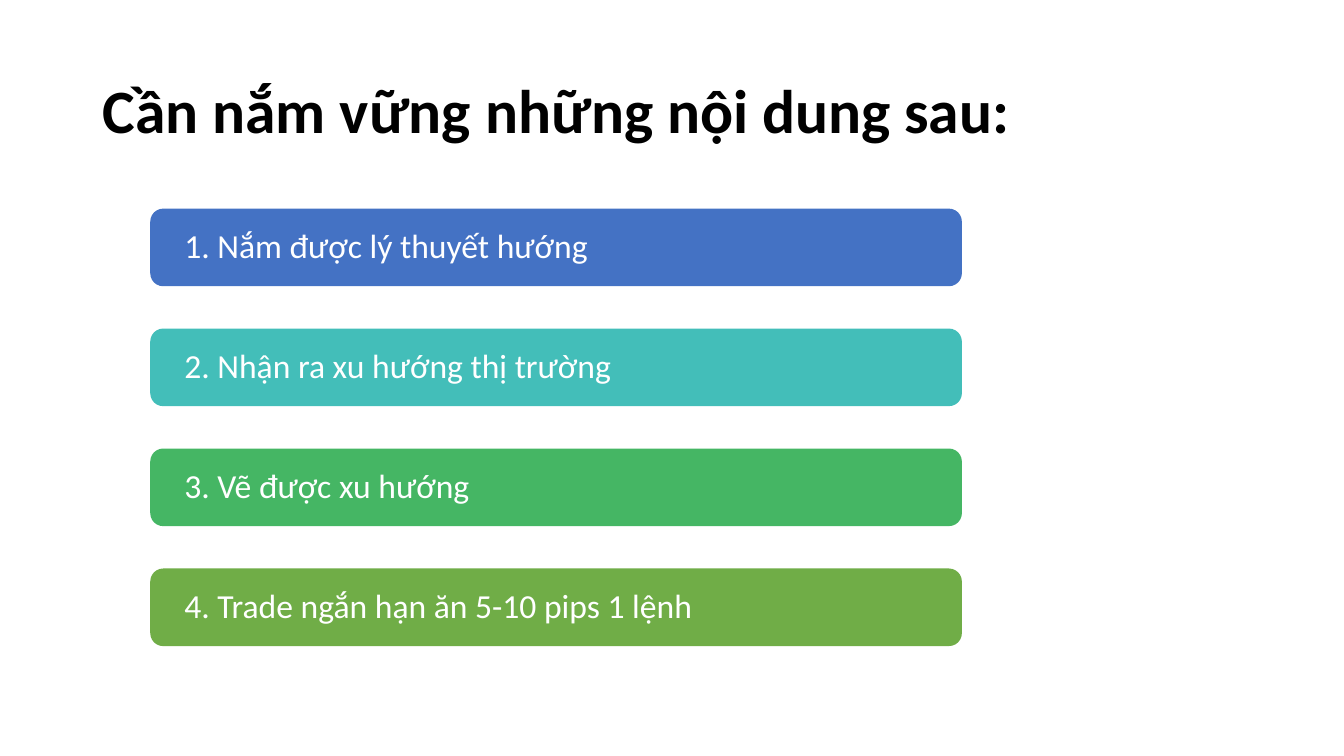
from dataclasses import dataclass

from pptx import Presentation
from pptx.dml.color import RGBColor
from pptx.enum.shapes import MSO_SHAPE
from pptx.enum.text import MSO_ANCHOR, PP_ALIGN
from pptx.shapes.autoshape import Shape
from pptx.slide import Slide
from pptx.util import Inches, Pt

FONT = "Calibri"
BAR_LEFT, BAR_TOP = 1.49, 2.07
BAR_WIDTH, BAR_HEIGHT = 8.05, 0.77
BAR_PITCH = 1.19


@dataclass(frozen=True)
class Topic:
    text: str
    fill: str


TOPICS = (
    Topic("1. Nắm được lý thuyết hướng", "4472C4"),
    Topic("2. Nhận ra xu hướng thị trường", "43BEB9"),
    Topic("3. Vẽ được xu hướng", "45B664"),
    Topic("4. Trade ngắn hạn ăn 5-10 pips 1 lệnh", "70AD47"),
)


def color(value: str) -> RGBColor:
    return RGBColor.from_string(value)


def write_text(
    shape: Shape,
    text: str,
    *,
    size: float,
    font_color: str,
    bold: bool = False,
    side_inset: float = 0.1,
    end_inset: float = 0.05,
) -> None:
    frame = shape.text_frame
    frame.word_wrap = True
    frame.vertical_anchor = MSO_ANCHOR.MIDDLE
    frame.margin_left = frame.margin_right = Inches(side_inset)
    frame.margin_top = frame.margin_bottom = Inches(end_inset)
    paragraph = frame.paragraphs[0]
    paragraph.alignment = PP_ALIGN.LEFT
    paragraph.line_spacing = 0.9
    run = paragraph.add_run()
    run.text = text
    run.font.name = FONT
    run.font.size = Pt(size)
    run.font.bold = bold
    run.font.color.rgb = color(font_color)


def add_title(slide: Slide, text: str) -> None:
    title = slide.shapes.add_textbox(
        Inches(0.92), Inches(0.4), Inches(11.5), Inches(1.45)
    )
    write_text(title, text, size=44, font_color="000000", bold=True)


def add_topic_bar(slide: Slide, topic: Topic, top: float) -> None:
    bar = slide.shapes.add_shape(
        MSO_SHAPE.ROUNDED_RECTANGLE,
        Inches(BAR_LEFT),
        Inches(top),
        Inches(BAR_WIDTH),
        Inches(BAR_HEIGHT),
    )
    bar.shadow.inherit = False
    bar.fill.solid()
    bar.fill.fore_color.rgb = color(topic.fill)
    bar.line.fill.background()
    write_text(
        bar, topic.text, size=24, font_color="FFFFFF", side_inset=0.3, end_inset=0
    )


def main() -> None:
    presentation = Presentation()
    presentation.slide_width = Inches(13.33)
    presentation.slide_height = Inches(7.5)
    slide = presentation.slides.add_slide(presentation.slide_layouts[6])
    add_title(slide, "Cần nắm vững những nội dung sau:")
    for index, topic in enumerate(TOPICS):
        add_topic_bar(slide, topic, BAR_TOP + index * BAR_PITCH)
    presentation.save("out.pptx")


if __name__ == "__main__":
    main()
